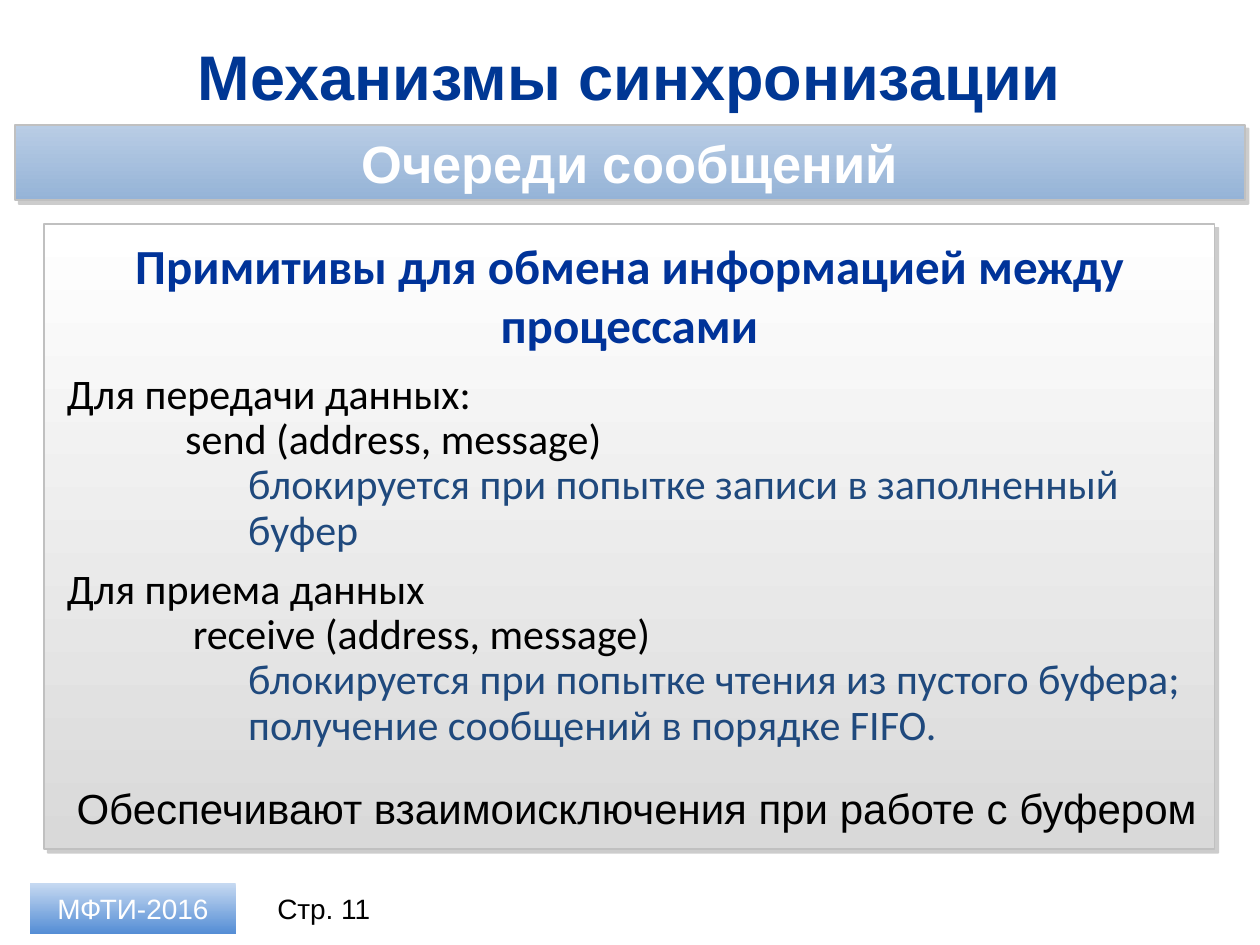
import pptx
import pptx.dml.color
import pptx.enum.text
import pptx.util
from lxml import etree
from pptx.oxml.ns import qn
from pptx.util import Inches, Pt

ALIGN = pptx.enum.text.PP_ALIGN
MIDDLE = pptx.enum.text.MSO_ANCHOR.MIDDLE
NO_FIT = pptx.enum.text.MSO_AUTO_SIZE.NONE
PLAIN = {"size": Pt(24), "name": "Calibri", "bold": False}
HEADING = {"size": Pt(28), "name": "Calibri", "bold": True}
FOOTER = {"size": Pt(16), "name": "Arial"}
TIGHT = {"line_spacing": 0.9, "space_before": Pt(0)}
DETAIL_COLOR = "1F497D"


def rgb(value):
    """Turn a hex string into a colour."""
    return pptx.dml.color.RGBColor.from_string(value)


def apply(target, values):
    """Set every attribute named in a dict of format values."""
    for key, value in values.items():
        setattr(target, key, value)


def place(shape, box):
    """Move and size a shape to a box given in inches."""
    apply(shape, dict(zip(("left", "top", "width", "height"), map(Inches, box))))


def write(paragraph, text, font, color, layout):
    """Write one formatted run into a paragraph."""
    run = paragraph.add_run()
    run.text = text
    apply(run.font, font)
    run.font.color.rgb = rgb(color)
    apply(paragraph, layout)


def set_frame(shape, anchor=None):
    """Make a text frame wrap at a fixed size and return it."""
    frame = shape.text_frame
    apply(frame, {"word_wrap": True, "auto_size": NO_FIT})
    if anchor is not None:
        frame.vertical_anchor = anchor
    return frame


def indent(paragraph, margin, first_line):
    """Set a paragraph's indents in inches and remove its bullet."""
    properties = paragraph._p.get_or_add_pPr()
    properties.set("marL", str(Inches(margin)))
    properties.set("indent", str(Inches(first_line)))
    etree.SubElement(properties, qn("a:buNone"))


def add_shadow(shape):
    """Cast a soft grey shadow to the lower right."""
    effects = shape._element.spPr.find(qn("a:effectLst"))
    shadow = etree.SubElement(effects, qn("a:outerShdw"), dist=str(Pt(3)),
                              dir="2700000", algn="ctr", rotWithShape="0")
    color = etree.SubElement(shadow, qn("a:srgbClr"), val="808080")
    etree.SubElement(color, qn("a:alpha"), val="40000")


def add_panel(slide, box, top_color, bottom_color, raised=True):
    """Add a rectangle with a vertical gradient, framed if raised."""
    panel = slide.shapes.add_shape(pptx.enum.shapes.MSO_SHAPE.RECTANGLE, *map(Inches, box))
    panel.shadow.inherit = False
    panel.fill.gradient()
    panel.fill.gradient_angle = 270
    for stop, color in zip(panel.fill.gradient_stops, (top_color, bottom_color)):
        stop.color.rgb = rgb(color)
    if raised:
        panel.line.color.rgb = rgb("C0C0C0")
        panel.line.width = Pt(1)
        add_shadow(panel)
    else:
        panel.line.fill.background()
    return panel


def add_label(slide, box, text, font, layout, anchor=None):
    """Add a black text box with one paragraph."""
    label = slide.shapes.add_textbox(*map(Inches, box))
    write(set_frame(label, anchor).paragraphs[0], text, font, "000000", layout)


def fill_body(body):
    """Write the message primitives and their blocking rules."""
    rows = [
        ("Примитивы для обмена информацией между процессами", HEADING, "003399", 0, 0,
         {"alignment": ALIGN.CENTER, "space_before": Pt(5.6), "space_after": Pt(11.2)}),
        ("Для передачи данных:", PLAIN, "000000", 0, 0, TIGHT),
        ("send (address, message)", PLAIN, "000000", 1.25, -0.31, TIGHT),
        ("блокируется при попытке записи в заполненный буфер",
         PLAIN, DETAIL_COLOR, 1.44, 0, TIGHT),
        ("Для приема данных", PLAIN, "000000", 0, 0, {"space_before": Pt(4.8)}),
        ("receive (address, message)", PLAIN, "000000", 1.25, -0.25, TIGHT),
        ("блокируется при попытке чтения из пустого буфера; "
         "получение сообщений в порядке FIFO.", PLAIN, DETAIL_COLOR, 1.44, 0, TIGHT),
    ]
    frame = set_frame(body)
    for number, (text, font, color, margin, first_line, layout) in enumerate(rows):
        paragraph = frame.add_paragraph() if number else frame.paragraphs[0]
        write(paragraph, text, font, color, layout)
        indent(paragraph, margin, first_line)


def main():
    """Build the message queue slide."""
    deck = pptx.Presentation()
    apply(deck, {"slide_width": Inches(10), "slide_height": Inches(7.5)})
    slide = deck.slides.add_slide(deck.slide_layouts[1])
    centered = {"alignment": ALIGN.CENTER}

    content = add_panel(slide, (0.35, 1.78, 9.29, 4.96), "FFFFFF", "D9D9D9")
    slide.shapes._spTree.insert(2, content._element)

    title, body = slide.placeholders
    place(title, (0.35, 0.26, 9.29, 0.68))
    write(set_frame(title, MIDDLE).paragraphs[0], "Механизмы синхронизации",
          {"size": Pt(36), "name": "Arial", "bold": True}, "003794", centered)
    place(body, (0.43, 1.82, 9.13, 4.21))
    fill_body(body)

    topic = add_panel(slide, (0.12, 0.99, 9.76, 0.6), "B9CDE5", "95B3D7")
    topic_frame = set_frame(topic, MIDDLE)
    apply(topic_frame, {"margin_left": Inches(0.24), "margin_right": Inches(0.24),
                        "margin_top": Inches(0.04), "margin_bottom": Inches(0.04)})
    write(topic_frame.paragraphs[0], "Очереди сообщений",
          {"size": Pt(30), "name": "Arial", "bold": True}, "FFFFFF",
          {"alignment": ALIGN.CENTER, "space_after": Pt(6)})

    course = add_panel(slide, (0.24, 7.01, 1.63, 0.4), "C6D9F1", "558ED5", raised=False)
    write(set_frame(course, MIDDLE).paragraphs[0], "МФТИ-2016", FOOTER, "FFFFFF", centered)
    add_label(slide, (2.03, 7.01, 1.08, 0.4), "Стр. 11", FOOTER, centered, MIDDLE)
    add_label(slide, (0.51, 6.16, 9.13, 0.5),
              "Обеспечивают взаимоисключения при работе с буфером",
              {"size": Pt(24), "name": "Arial"}, {"space_before": Pt(12)})
    deck.save("out.pptx")


if __name__ == "__main__":
    main()
